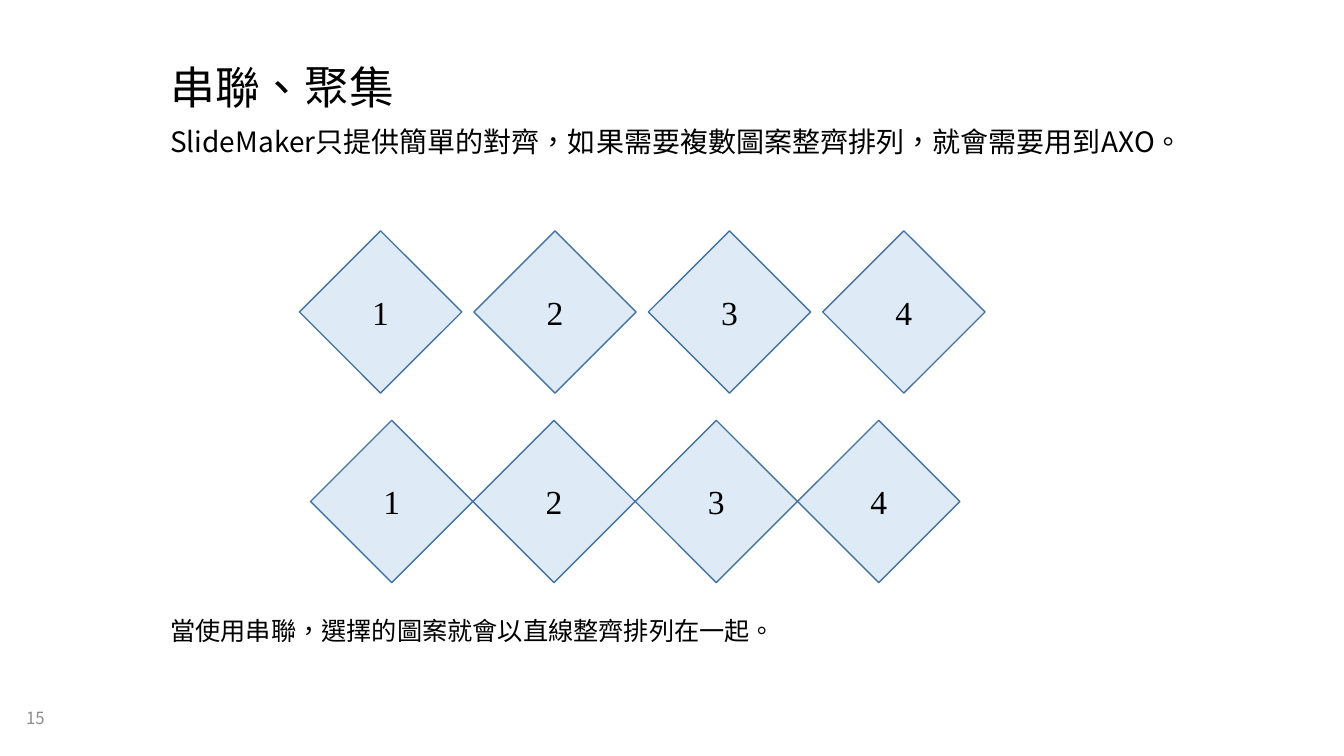
from lxml import etree
from pptx import Presentation
from pptx.dml.color import RGBColor
from pptx.enum import shapes, text
from pptx.oxml.ns import qn
from pptx.util import Inches, Pt

SANS = "Noto Sans CJK SC"
SERIF = "Times New Roman"


def rgb(value):
    return RGBColor.from_string(value)


def write(sp, content, size, font=SANS, color="000000", align=None,
          anchor=text.MSO_ANCHOR.TOP, spacing=None, wrap=True):
    tf = sp.text_frame
    tf.word_wrap = wrap
    tf.vertical_anchor = anchor
    p = tf.paragraphs[0]
    p.alignment = align
    p.line_spacing = spacing
    r = p.add_run()
    r.text = content
    r.font.size = Pt(size)
    r.font.name = font
    r.font.color.rgb = rgb(color)
    # East Asian glyphs need their own typeface and language
    props = r._r.get_or_add_rPr()
    props.set("lang", "zh-TW")
    etree.SubElement(props, qn("a:ea")).set("typeface", SANS)


prs = Presentation()
prs.slide_width = Inches(13.33)
prs.slide_height = Inches(7.5)
s = prs.slides.add_slide(prs.slide_layouts[6])

# Page number, title and introduction
middle = text.MSO_ANCHOR.MIDDLE
texts = [
    ((0.16, 6.93, 0.67, 0.39), "15", dict(size=12, color="8C8C8C", anchor=middle)),
    ((1.59, 0.6, 11.5, 0.62), "串聯、聚集", dict(size=32, spacing=0.9)),
    ((1.59, 1.22, 11.5, 1.19),
     "SlideMaker只提供簡單的對齊，如果需要複數圖案整齊排列，就會需要用到AXO。",
     dict(size=20, spacing=0.9)),
    ((1.59, 6.06, 6.26, 0.4), "當使用串聯，選擇的圖案就會以直線整齊排列在一起。",
     dict(size=18, font=SERIF, wrap=False)),
]
for box, content, style in texts:
    write(s.shapes.add_textbox(*map(Inches, box)), content, **style)

# Two rows of diamonds: spaced apart, then touching
side = 1.61
for left, top, gap in [(2.97, 2.29, 0.12), (3.08, 4.17, 0)]:
    for i in range(4):
        sp = s.shapes.add_shape(
            shapes.MSO_SHAPE.DIAMOND, Inches(left + i * (side + gap)),
            Inches(top), Inches(side), Inches(side))
        sp.shadow.inherit = False
        sp.fill.solid()
        sp.fill.fore_color.rgb = rgb("DEEBF7")
        sp.line.color.rgb = rgb("43739E")
        sp.line.width = Pt(1)
        write(sp, str(i + 1), 24, font=SERIF, align=text.PP_ALIGN.CENTER,
              anchor=middle, wrap=False)

prs.save("out.pptx")
